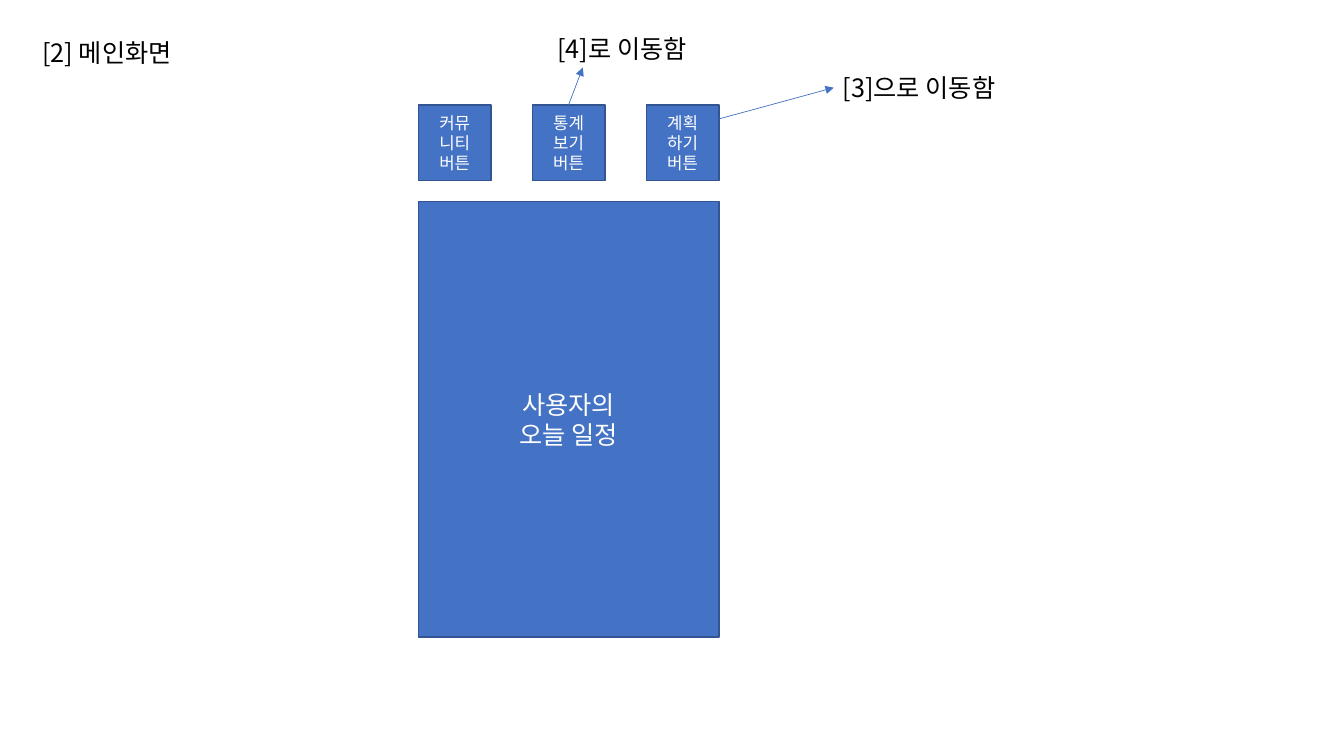
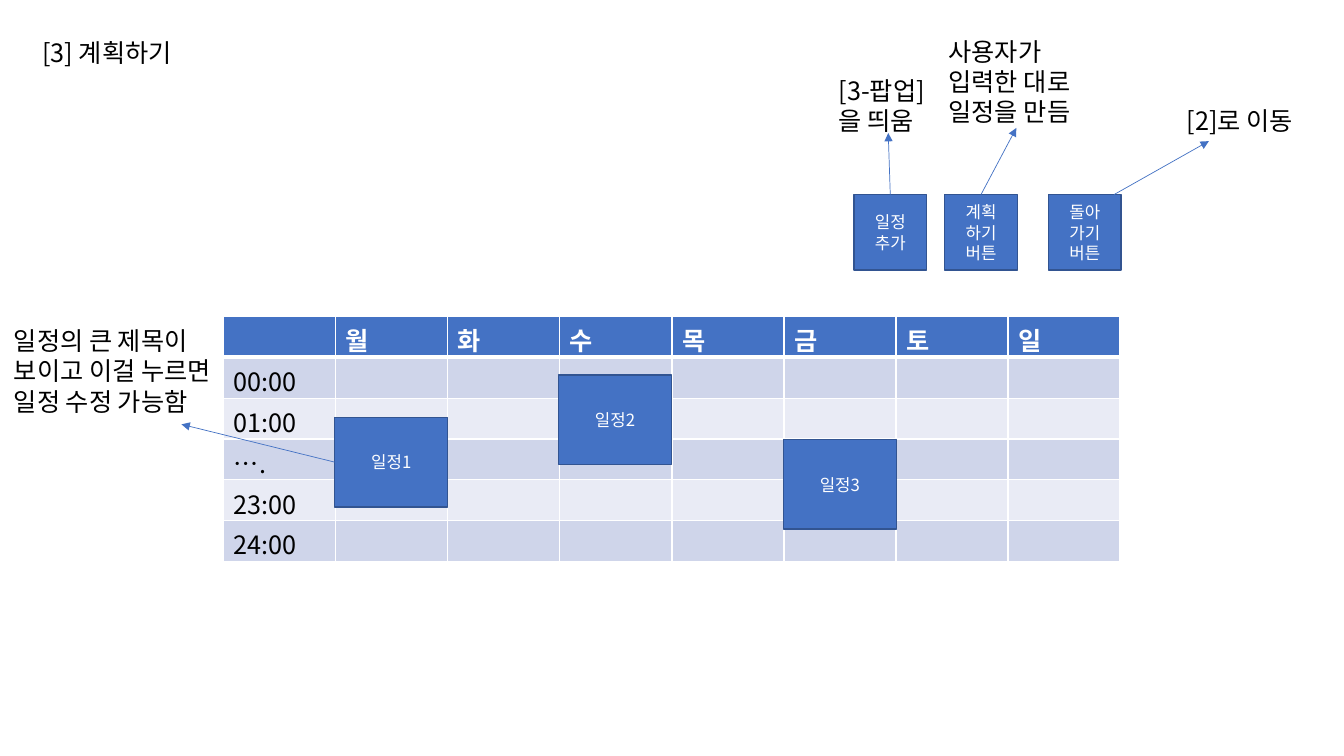
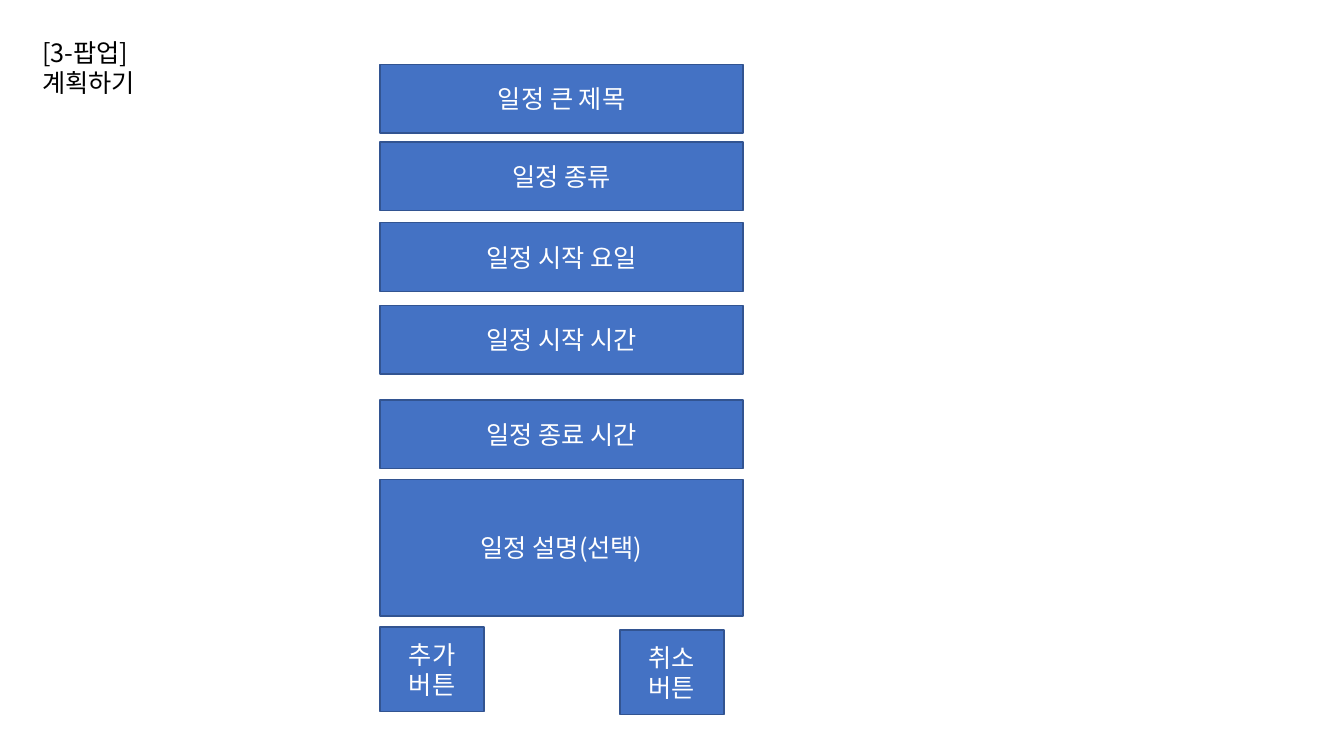
"""Build three wireframe slides of a weekly planner app."""
import lxml.etree
import pptx
import pptx.dml.color
import pptx.enum.shapes
import pptx.enum.text
import pptx.oxml
import pptx.oxml.ns
import pptx.util

Inches = pptx.util.Inches
Pt = pptx.util.Pt
RGB = pptx.dml.color.RGBColor
qn = pptx.oxml.ns.qn


class Theme:
    font = "Noto Sans CJK KR"
    blue = RGB.from_string("4472C4")
    edge = RGB.from_string("325491")
    black = RGB.from_string("000000")
    white = RGB.from_string("FFFFFF")
    bands = (RGB.from_string("E9EBF5"), RGB.from_string("CFD5EA"))
    body = Pt(18)
    small = Pt(12)
    thin = Pt(0.5)
    line = Pt(1)
    thick = Pt(3)


def ink(frame, size, color, bold=False):
    for para in frame.paragraphs:
        for run in para.runs:
            run.font.name = Theme.font
            run.font.size = size
            run.font.bold = bold
            run.font.color.rgb = color
            east = lxml.etree.SubElement(run.font._element, qn("a:ea"))
            east.set("typeface", Theme.font)


def add(page, words, spot, size=Theme.body, solid=True):
    area = [Inches(part) for part in spot]
    if solid:
        shape = page.shapes.add_shape(pptx.enum.shapes.MSO_SHAPE.RECTANGLE, *area)
        shape.shadow.inherit = False
        shape.fill.solid()
        shape.fill.fore_color.rgb = Theme.blue
        shape.line.color.rgb = Theme.edge
        shape.line.width = Theme.line
    else:
        shape = page.shapes.add_textbox(*area)
    frame = shape.text_frame
    frame.word_wrap = True
    frame.text = words
    ink(frame, size, Theme.white if solid else Theme.black)
    if solid:
        frame.vertical_anchor = pptx.enum.text.MSO_ANCHOR.MIDDLE
        for para in frame.paragraphs:
            para.alignment = pptx.enum.text.PP_ALIGN.CENTER
    return shape


deck = pptx.Presentation()
deck.slide_width = Inches(13.33)
deck.slide_height = Inches(7.5)

pages = []
for title, width in (("[2] 메인화면", 1.59), ("[3] 계획하기", 1.59), ("[3-팝업] 계획하기", 2)):
    page = deck.slides.add_slide(deck.slide_layouts[6])
    add(page, title, (0.32, 0.32, width, 0.4), solid=False)
    pages.append(page)
home, plan, popup = pages

add(home, "사용자의\n오늘 일정", (4.15, 2, 2.98, 4.32))
menu = []
for col, words in enumerate(("커뮤\n니티\n버튼", "통계\n보기\n버튼", "계획\n하기\n버튼")):
    menu.append(add(home, words, (4.15 + 1.13 * col, 1.04, 0.72, 0.75), Theme.small))

table = plan.shapes.add_table(6, 8, Inches(2.22), Inches(3.14), Inches(8.89), Inches(2.43)).table
days = ("", "월", "화", "수", "목", "금", "토", "일")
hours = ("", "00:00", "01:00", "….", "23:00", "24:00")
for row, hour in enumerate(hours):
    for col, day in enumerate(days):
        cell = table.cell(row, col)
        head = row == 0
        cell.text_frame.text = day if head else hour if col == 0 else ""
        ink(cell.text_frame, Theme.body, Theme.white if head else Theme.black, head)
        cell.fill.solid()
        cell.fill.fore_color.rgb = Theme.blue if head else Theme.bands[row % 2]
        props = cell._tc.get_or_add_tcPr()
        for place, side in enumerate(("lnL", "lnR", "lnT", "lnB")):
            heavy = (row, side) in ((0, "lnB"), (1, "lnT"))
            edge = lxml.etree.Element(qn("a:" + side))
            edge.set("w", str(int(Theme.thick if heavy else Theme.line)))
            fill = lxml.etree.SubElement(edge, qn("a:solidFill"))
            lxml.etree.SubElement(fill, qn("a:srgbClr")).set("val", str(Theme.white))
            props.insert(place, edge)

tools = []
for left, words in ((8.47, "일정\n추가"), (9.37, "계획\n하기\n버튼"), (10.4, "돌아\n가기\n버튼")):
    tools.append(add(plan, words, (left, 1.93, 0.72, 0.75), Theme.small))

events = []
for num, (left, top) in enumerate(((3.32, 4.14), (5.54, 3.72), (7.77, 4.36)), 1):
    events.append(add(plan, f"일정{num}", (left, top, 1.12, 0.89), Theme.small))

notes = (
    (home, "[3]으로 이동함", (8.26, 0.67, 1.85, 0.4)),
    (home, "[4]로 이동함", (5.43, 0.28, 1.59, 0.4)),
    (plan, "[2]로 이동", (11.67, 1, 1.34, 0.4)),
    (plan, "사용자가\n입력한 대로\n일정을 만듬", (9.31, 0.31, 1.55, 1.01)),
    (plan, "[3-팝업]\n을 띄움", (8.22, 0.7, 1.1, 0.71)),
    (plan, "일정의 큰 제목이\n보이고 이걸 누르면\n일정 수정 가능함", (0.04, 3.18, 2.4, 1.01)),
)
for page, words, spot in notes:
    add(page, words, spot, solid=False)

arrows = (
    (home, None, None, (7.13, 1.18), (8.27, 0.87)),
    (home, menu[1], 0, (5.64, 1.04), (5.78, 0.67)),
    (plan, None, None, (11.05, 1.93), (11.99, 1.4)),
    (plan, tools[1], 0, (9.73, 1.93), (10.08, 1.27)),
    (plan, tools[0], 0, (8.83, 1.93), (8.81, 1.32)),
    (plan, events[0], 1, (3.32, 4.58), (1.8, 4.21)),
)
for page, box, side, start, end in arrows:
    ends = [Inches(part) for part in start + end]
    arrow = page.shapes.add_connector(pptx.enum.shapes.MSO_CONNECTOR.STRAIGHT, *ends)
    if box is not None:
        arrow.begin_connect(box, side)
    arrow.line.color.rgb = Theme.blue
    arrow.line.width = Theme.thin
    tip = lxml.etree.SubElement(arrow.line._get_or_add_ln(), qn("a:tailEnd"))
    tip.set("type", "triangle")
    lxml.etree.SubElement(arrow._element.spPr, qn("a:effectLst"))

fields = (
    ("일정 큰 제목", 0.64, 0.68),
    ("일정 종류", 1.41, 0.68),
    ("일정 시작 요일", 2.21, 0.68),
    ("일정 시작 시간", 3.03, 0.68),
    ("일정 종료 시간", 3.97, 0.68),
    ("일정 설명(선택)", 4.76, 1.35),
)
for words, top, height in fields:
    add(popup, words, (3.77, top, 3.6, height))
for words, left, top in (("추가\n버튼", 3.77, 6.22), ("취소\n버튼", 6.15, 6.25)):
    add(popup, words, (left, top, 1.03, 0.84))

deck.save("out.pptx")
